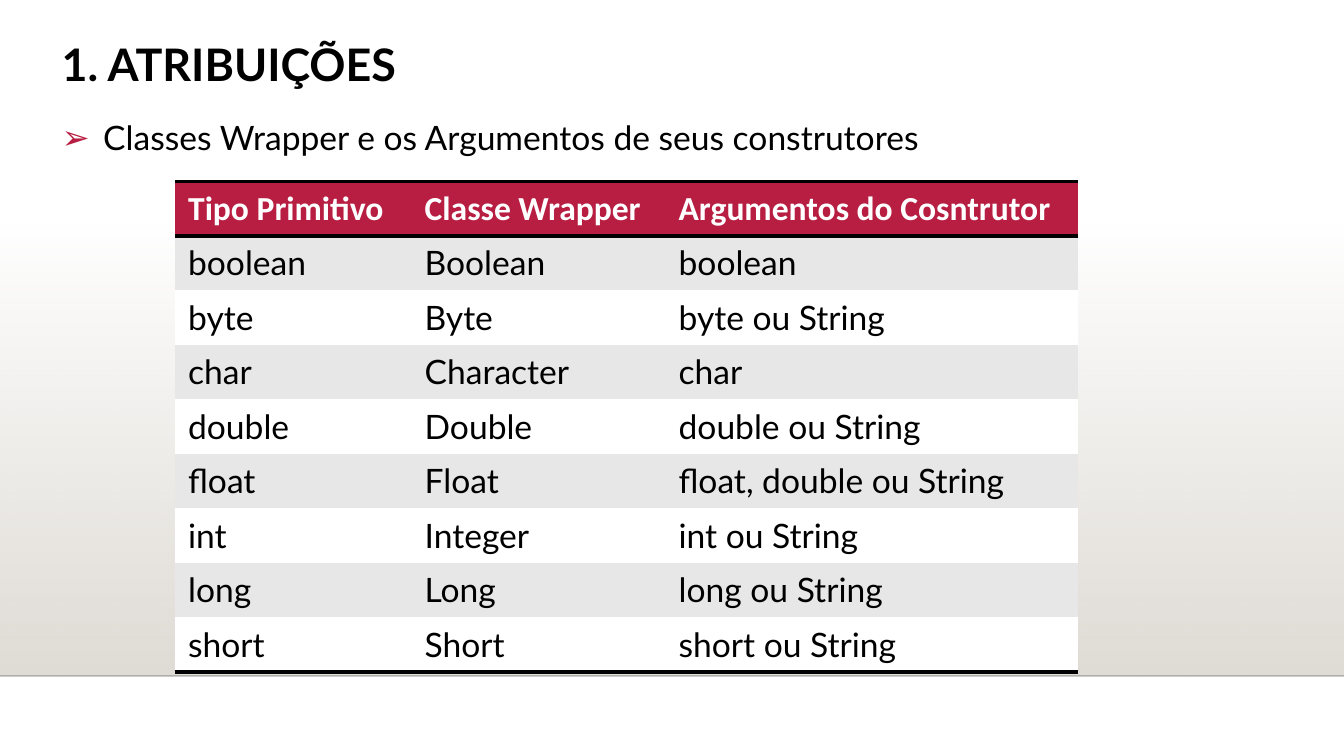
from dataclasses import dataclass
from typing import Any

from lxml.etree import SubElement
from pptx import Presentation
from pptx.dml.color import RGBColor
from pptx.enum.shapes import MSO_CONNECTOR, MSO_SHAPE
from pptx.enum.text import MSO_ANCHOR
from pptx.oxml.ns import qn
from pptx.util import Inches, Pt


@dataclass(frozen=True)
class Theme:
    accent: str = "B71E42"
    black: str = "000000"
    white: str = "FFFFFF"
    band: str = "E7E7E7"
    floor: str = "DFDBD5"
    floor_line: str = "000001"
    body_font: str = "Lato"
    header_font: str = "Calibri"
    title_size: int = 24
    body_size: int = 18
    rule_width: int = 2
    plain_table_style: str = "{2D5ABB26-0587-4C30-8999-92F81FD0307C}"


@dataclass(frozen=True)
class Box:
    left: float
    top: float
    width: float
    height: float

    def lengths(self) -> tuple:
        return tuple(map(Inches, (self.left, self.top, self.width, self.height)))


@dataclass(frozen=True)
class TextStyle:
    name: str
    size: int
    color: str
    bold: bool = False


THEME = Theme()
TITLE_STYLE = TextStyle(THEME.body_font, THEME.title_size, THEME.black, True)
BODY_STYLE = TextStyle(THEME.body_font, THEME.body_size, THEME.black)
HEADER_STYLE = TextStyle(THEME.header_font, THEME.body_size, THEME.white, True)

SLIDE_WIDTH = 10
SLIDE_HEIGHT = SLIDE_WIDTH * 9 / 16
FLOOR = Box(0, 1.66, SLIDE_WIDTH, 3.37)
TITLE = Box(0.36, 0.26, 8.88, 0.47)
SUBTITLE = Box(0.36, 0.82, 8.88, 0.3)
COLUMN_WIDTHS = (1.76, 1.89, 3.07)
ROWS = (
    ("Tipo Primitivo", "Classe Wrapper", "Argumentos do Cosntrutor"),
    ("boolean", "Boolean", "boolean"),
    ("byte", "Byte", "byte ou String"),
    ("char", "Character", "char"),
    ("double", "Double", "double ou String"),
    ("float", "Float", "float, double ou String"),
    ("int", "Integer", "int ou String"),
    ("long", "Long", "long ou String"),
    ("short", "Short", "short ou String"),
)
TABLE = Box(1.3, 1.35, sum(COLUMN_WIDTHS), 3.65)
ROW_HEIGHT = TABLE.height / len(ROWS)


def set_attributes(target: Any, values: dict) -> None:
    for name, value in values.items():
        setattr(target, name, value)


def write_text(paragraph: Any, text: str, style: TextStyle) -> None:
    run = paragraph.add_run()
    run.text = text
    set_attributes(run.font, {"name": style.name, "size": Pt(style.size), "bold": style.bold})
    run.font.color.rgb = RGBColor.from_string(style.color)


def add_text(slide: Any, box: Box, text: str, style: TextStyle, anchor: MSO_ANCHOR) -> Any:
    frame = slide.shapes.add_textbox(*box.lengths()).text_frame
    set_attributes(frame, {"word_wrap": True, "vertical_anchor": anchor})
    paragraph = frame.paragraphs[0]
    write_text(paragraph, text, style)
    return paragraph


def add_bullet(paragraph: Any, character: str, color: str, indent: float) -> None:
    properties = paragraph._p.get_or_add_pPr()
    properties.set("marL", str(Inches(indent)))
    properties.set("indent", str(-Inches(indent)))
    bullet_color = SubElement(properties, qn("a:buClr"))
    SubElement(bullet_color, qn("a:srgbClr"), val=color)
    SubElement(properties, qn("a:buFont"), typeface=THEME.body_font)
    SubElement(properties, qn("a:buChar"), char=character)


def set_alpha(shape: Any, position: int, percent: int) -> None:
    color = shape._element.spPr.findall(".//" + qn("a:srgbClr"))[position]
    SubElement(color, qn("a:alpha"), val=str(percent * 1000))


def add_floor(slide: Any) -> None:
    # Shade that fades in downwards
    shade = slide.shapes.add_shape(MSO_SHAPE.RECTANGLE, *FLOOR.lengths())
    shade.shadow.inherit = False
    shade.line.fill.background()
    shade.fill.gradient()
    shade.fill.gradient_angle = 270
    for position, stop in enumerate(shade.fill.gradient_stops):
        stop.position = position
        stop.color.rgb = RGBColor.from_string(THEME.floor)
    set_alpha(shade, 0, 0)

    # Faint line along its lower edge
    bottom = Inches(FLOOR.top + FLOOR.height)
    edge = slide.shapes.add_connector(
        MSO_CONNECTOR.STRAIGHT, 0, bottom, Inches(SLIDE_WIDTH), bottom)
    edge.line.width = Pt(1)
    edge.line.color.rgb = RGBColor.from_string(THEME.floor_line)
    set_alpha(edge, 0, 20)
    SubElement(edge._element.spPr, qn("a:effectLst"))


def add_rule(cell: Any, side: str) -> None:
    border = SubElement(cell._tc.get_or_add_tcPr(), qn(f"a:ln{side}"),
                        w=str(Pt(THEME.rule_width)))
    fill = SubElement(border, qn("a:solidFill"))
    SubElement(fill, qn("a:srgbClr"), val=THEME.black)


def add_class_table(slide: Any) -> None:
    table = slide.shapes.add_table(len(ROWS), len(COLUMN_WIDTHS), *TABLE.lengths()).table
    table._tbl.tblPr.find(qn("a:tableStyleId")).text = THEME.plain_table_style
    for column, width in zip(table.columns, COLUMN_WIDTHS):
        column.width = Inches(width)
    for row_index, row in enumerate(ROWS):
        table.rows[row_index].height = Inches(ROW_HEIGHT)
        if row_index == 0:
            style, color, sides = HEADER_STYLE, THEME.accent, "TB"
        else:
            style = BODY_STYLE
            color = THEME.band if row_index % 2 else THEME.white
            sides = "B" if row_index == len(ROWS) - 1 else ""
        for column_index, text in enumerate(row):
            cell = table.cell(row_index, column_index)
            write_text(cell.text_frame.paragraphs[0], text, style)
            for side in sides:
                add_rule(cell, side)
            cell.fill.solid()
            cell.fill.fore_color.rgb = RGBColor.from_string(color)


def main() -> None:
    presentation = Presentation()
    set_attributes(presentation, {"slide_width": Inches(SLIDE_WIDTH),
                                  "slide_height": Inches(SLIDE_HEIGHT)})
    slide = presentation.slides.add_slide(presentation.slide_layouts[6])

    # Background
    add_floor(slide)

    # Headings
    subtitle = add_text(slide, SUBTITLE, "Classes Wrapper e os Argumentos de seus construtores",
                        BODY_STYLE, MSO_ANCHOR.TOP)
    add_bullet(subtitle, "➢", THEME.accent, 0.31)
    title = add_text(slide, TITLE, "1. ATRIBUIÇÕES", TITLE_STYLE, MSO_ANCHOR.MIDDLE)
    title.line_spacing = 0.9

    # Wrapper classes
    add_class_table(slide)

    presentation.save("out.pptx")


if __name__ == "__main__":
    main()
